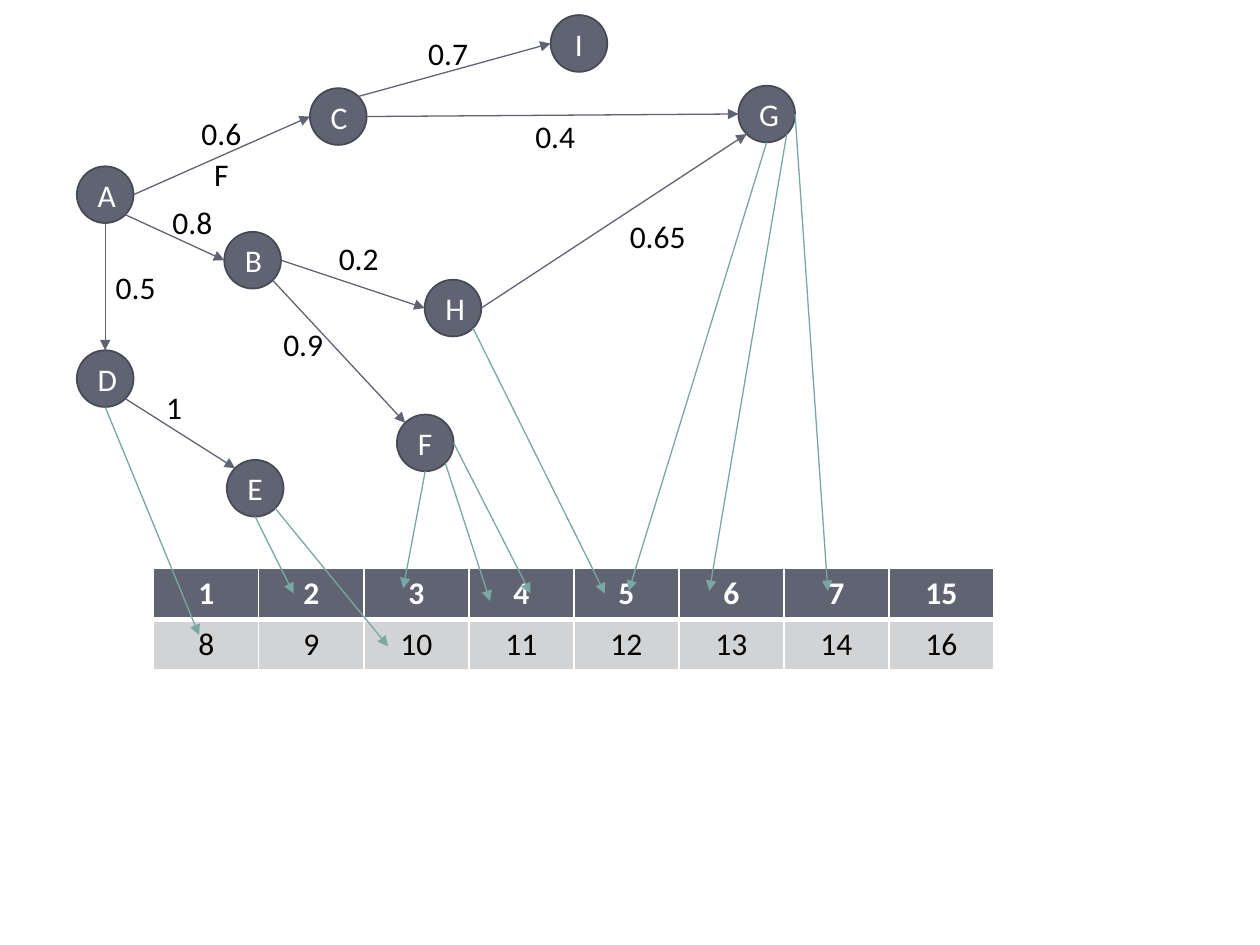
import math

import lxml.etree
import pptx
import pptx.dml.color
import pptx.enum.shapes
import pptx.enum.text
import pptx.oxml.ns
import pptx.util

Inches = pptx.util.Inches
Pt = pptx.util.Pt
qn = pptx.oxml.ns.qn

DARK = "606372"
OUTLINE = "474954"
PALE = "D2D3D5"
TEAL = "79A8A4"
WHITE = "FFFFFF"
BLACK = "000000"
DIAMETER = 0.45
TOP, TOP_LEFT, LEFT, BOTTOM_LEFT, BOTTOM, BOTTOM_RIGHT, RIGHT, TOP_RIGHT = range(8)

NODES = {
    "A": (0.61, 1.32), "C": (2.46, 0.7), "I": (4.37, 0.12),
    "G": (5.86, 0.68), "B": (1.78, 1.84), "D": (0.61, 2.78),
    "E": (1.8, 3.65), "H": (3.37, 2.22), "F": (3.15, 3.29),
}
EDGES = [
    ("A", RIGHT, "C", LEFT), ("C", TOP_RIGHT, "I", LEFT),
    ("C", RIGHT, "G", LEFT), ("H", RIGHT, "G", BOTTOM_LEFT),
    ("B", RIGHT, "H", LEFT), ("B", BOTTOM_RIGHT, "F", TOP_LEFT),
    ("D", BOTTOM_RIGHT, "E", TOP_LEFT), ("A", BOTTOM, "D", TOP),
    ("A", BOTTOM_RIGHT, "B", LEFT),
]
LABELS = [
    ("F", 1.6, 1.18, 0.32), ("0.6", 1.5, 0.86, 0.52),
    ("0.7", 3.3, 0.22, 0.52), ("0.4", 4.15, 0.88, 0.52),
    ("0.65", 4.9, 1.67, 0.65), ("0.2", 2.59, 1.85, 0.52),
    ("0.9", 2.15, 2.53, 0.52), ("1", 1.22, 3.03, 0.33),
    ("0.5", 0.82, 2.08, 0.52), ("0.8", 1.27, 1.56, 0.52),
]
TABLE_ROWS = [
    ["1", "2", "3", "4", "5", "6", "7", "15"],
    ["8", "9", "10", "11", "12", "13", "14", "16"],
]
TABLE_LINKS = [
    ("D", BOTTOM, 1.58, 5.04), ("E", BOTTOM, 2.33, 4.71),
    ("E", BOTTOM_RIGHT, 3.08, 5.13), ("F", BOTTOM, 3.2, 4.67),
    ("F", BOTTOM_RIGHT, 3.89, 4.77), ("F", RIGHT, 4.21, 4.71),
    ("H", BOTTOM_RIGHT, 4.8, 4.71), ("G", BOTTOM, 4.99, 4.69),
    ("G", BOTTOM_RIGHT, 5.63, 4.69), ("G", RIGHT, 6.57, 4.69),
]


def rgb(color):
    return pptx.dml.color.RGBColor.from_string(color)


def write_text(text_frame, text, color, bold=False, centered=True):
    text_frame.text = text
    paragraph = text_frame.paragraphs[0]
    if centered:
        paragraph.alignment = pptx.enum.text.PP_ALIGN.CENTER
    font = paragraph.runs[0].font
    font.name = "Calibri"
    font.size = Pt(18)
    font.bold = bold
    font.color.rgb = rgb(color)


def add_node(slide, name, left, top):
    shape = slide.shapes.add_shape(
        pptx.enum.shapes.MSO_SHAPE.OVAL,
        Inches(left), Inches(top), Inches(DIAMETER), Inches(DIAMETER))
    shape.shadow.inherit = False
    shape.fill.solid()
    shape.fill.fore_color.rgb = rgb(DARK)
    shape.line.color.rgb = rgb(OUTLINE)
    shape.line.width = Pt(1)
    shape.text_frame.vertical_anchor = pptx.enum.text.MSO_ANCHOR.MIDDLE
    write_text(shape.text_frame, name, WHITE)
    return shape


def add_label(slide, text, left, top, width):
    shape = slide.shapes.add_textbox(
        Inches(left), Inches(top), Inches(width), Inches(0.4))
    shape.text_frame.word_wrap = False
    shape.text_frame.auto_size = pptx.enum.text.MSO_AUTO_SIZE.SHAPE_TO_FIT_TEXT
    write_text(shape.text_frame, text, BLACK, centered=False)


def site_point(name, site):
    left, top = NODES[name]
    radius = DIAMETER / 2
    angle = math.radians(90 + 45 * site)
    return (left + radius * (1 + math.cos(angle)),
            top + radius * (1 - math.sin(angle)))


def add_arrow(slide, start, end, color):
    connector = slide.shapes.add_connector(
        pptx.enum.shapes.MSO_CONNECTOR.STRAIGHT,
        *[Inches(value) for value in (*start, *end)])
    connector.line.color.rgb = rgb(color)
    connector.line.width = Pt(0.75)
    properties = connector._element.spPr
    lxml.etree.SubElement(properties.find(qn("a:ln")), qn("a:tailEnd"), type="triangle")
    lxml.etree.SubElement(properties, qn("a:effectLst"))
    return connector


def glue(connector, tag, shape, site):
    lxml.etree.SubElement(
        connector._element.nvCxnSpPr.cNvCxnSpPr, qn(tag),
        id=str(shape.shape_id), idx=str(site))


def add_border(cell, tag, width):
    line = lxml.etree.SubElement(
        cell._tc.get_or_add_tcPr(), qn(tag), w=str(Pt(width)))
    fill = lxml.etree.SubElement(line, qn("a:solidFill"))
    lxml.etree.SubElement(fill, qn("a:srgbClr"), val=WHITE)


def add_number_table(slide):
    table = slide.shapes.add_table(
        len(TABLE_ROWS), len(TABLE_ROWS[0]),
        Inches(1.22), Inches(4.51), Inches(6.67), Inches(0.81)).table
    for row_index, values in enumerate(TABLE_ROWS):
        header = row_index == 0
        for column_index, value in enumerate(values):
            cell = table.cell(row_index, column_index)
            for tag in ("a:lnL", "a:lnR", "a:lnT", "a:lnB"):
                add_border(cell, tag, 3 if header and tag == "a:lnB" else 1)
            cell.fill.solid()
            cell.fill.fore_color.rgb = rgb(DARK if header else PALE)
            write_text(cell.text_frame, value, WHITE if header else BLACK, bold=header)


def main():
    presentation = pptx.Presentation()
    presentation.slide_width = Inches(10)
    presentation.slide_height = Inches(7.5)
    slide = presentation.slides.add_slide(presentation.slide_layouts[6])

    nodes = {name: add_node(slide, name, *place) for name, place in NODES.items()}
    for source, source_site, target, target_site in EDGES:
        connector = add_arrow(
            slide, site_point(source, source_site),
            site_point(target, target_site), DARK)
        glue(connector, "a:stCxn", nodes[source], source_site)
        glue(connector, "a:endCxn", nodes[target], target_site)
    for label in LABELS:
        add_label(slide, *label)
    add_number_table(slide)
    for source, site, x, y in TABLE_LINKS:
        connector = add_arrow(slide, site_point(source, site), (x, y), TEAL)
        glue(connector, "a:stCxn", nodes[source], site)

    presentation.save("out.pptx")


if __name__ == "__main__":
    main()
